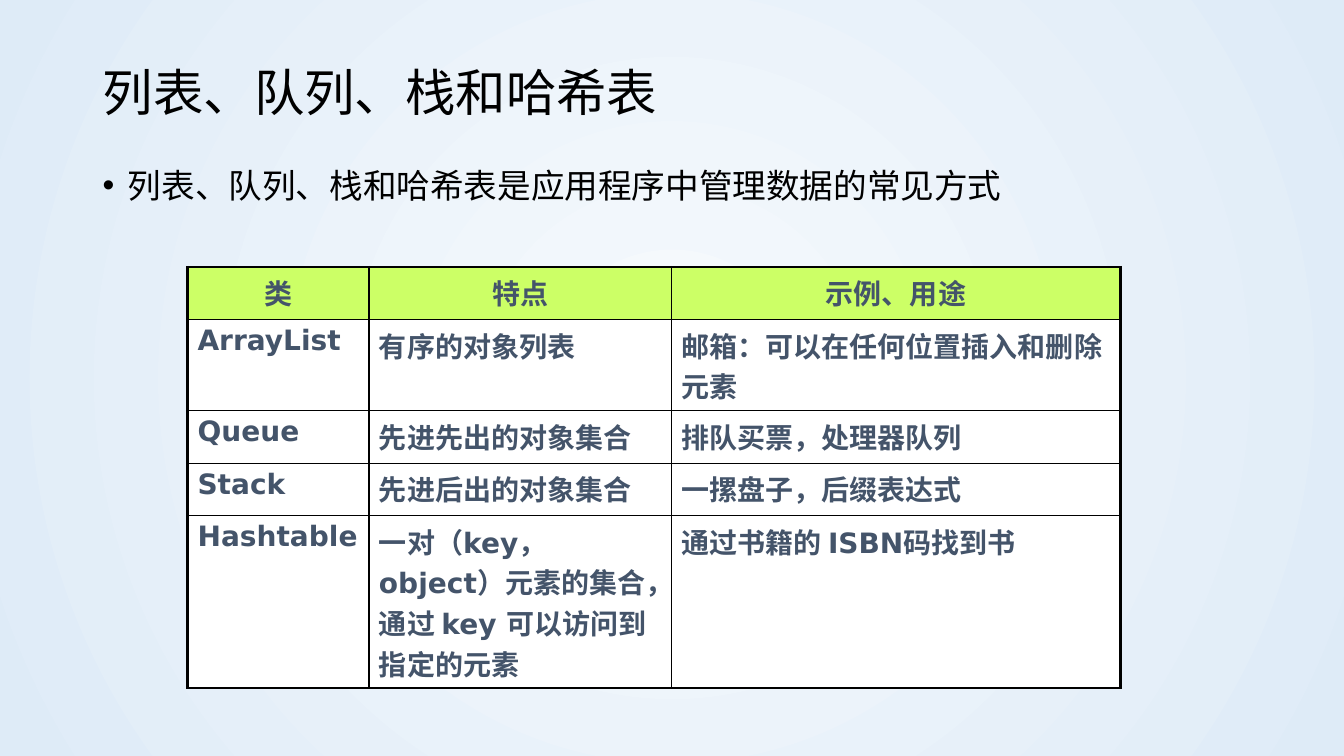
from dataclasses import dataclass

from lxml import etree
from pptx import Presentation
from pptx.dml.color import RGBColor
from pptx.enum.text import MSO_ANCHOR, PP_ALIGN
from pptx.oxml import parse_xml
from pptx.oxml.ns import nsdecls, qn
from pptx.util import Pt

LEFT, CENTER = PP_ALIGN.LEFT, PP_ALIGN.CENTER
MIDDLE = MSO_ANCHOR.MIDDLE

COLORS = {
    "inner": "F7FAFD",
    "outer": "DEEBF7",
    "text": "000000",
    "cell": "44546A",
    "head": "CCFF66",
    "body": "FFFFFF",
    "line": "000000",
}
THIN, THICK = 1, 2.25
INDENT = 18


@dataclass
class Row:
    height: float
    texts: tuple[str, str, str]
    fill: str = "body"
    align: PP_ALIGN = LEFT


WIDTHS = (129.6, 216, 321)
ROWS = (
    Row(37.44, ("类", "特点", "示例、用途"), "head", CENTER),
    Row(65.2, ("ArrayList", "有序的对象列表", "邮箱：可以在任何位置插入和删除元素")),
    Row(37.44, ("Queue", "先进先出的对象集合", "排队买票，处理器队列")),
    Row(37.44, ("Stack", "先进后出的对象集合", "一摞盘子，后缀表达式")),
    Row(123.2, ("Hashtable", "一对（key，object）元素的集合，通过 key 可以访问到指定的元素",
                "通过书籍的 ISBN码找到书")),
)


def rgb(name: str) -> RGBColor:
    return RGBColor.from_string(COLORS[name])


def style(para, size: float, face: str, color: str, bold: bool = False) -> None:
    font = para.font
    font.size, font.name, font.bold = Pt(size), face, bold
    font.color.rgb = rgb(color)


def paint(slide) -> None:
    """Give the slide a round gradient, lightest in the middle."""
    fill = slide.background.fill
    fill.gradient()
    for stop, pos, name in zip(fill.gradient_stops, (0, 1), ("inner", "outer")):
        stop.position = pos
        stop.color.rgb = rgb(name)
    grad = next(slide.element.iter(qn("a:gradFill")))
    grad.replace(grad.find(qn("a:lin")), parse_xml(
        f'<a:path {nsdecls("a")} path="circle">'
        '<a:fillToRect l="50000" t="50000" r="50000" b="50000"/></a:path>'))


def add_title(slide, text: str) -> None:
    title = slide.shapes.title
    title.left, title.top = Pt(66.24), Pt(28.8)
    title.width, title.height = Pt(828), Pt(77.76)
    frame = title.text_frame
    frame.text = text
    frame.vertical_anchor = MIDDLE
    para = frame.paragraphs[0]
    para.alignment, para.line_spacing = LEFT, 0.9
    style(para, 36, "Arial", "text")


def add_point(slide, text: str) -> None:
    box = slide.shapes.add_textbox(Pt(66.24), Pt(117.36), Pt(828), Pt(50))
    frame = box.text_frame
    frame.word_wrap = True
    frame.text = text
    para = frame.paragraphs[0]
    para.line_spacing = 0.9
    props = para._p.get_or_add_pPr()
    props.set("marL", str(Pt(INDENT)))
    props.set("indent", str(-Pt(INDENT)))
    etree.SubElement(props, qn("a:buFont")).set("typeface", "Arial")
    etree.SubElement(props, qn("a:buChar")).set("char", "•")
    style(para, 24, "Arial", "text")


def add_edges(cell, row: int, col: int) -> None:
    """Draw thick lines on the rim of the table and thin ones inside."""
    rims = {"L": col == 0, "R": col == len(WIDTHS) - 1,
            "T": row == 0, "B": row == len(ROWS) - 1}
    props = cell._tc.get_or_add_tcPr()
    for side, rim in rims.items():
        width = Pt(THICK if rim else THIN)
        props.append(parse_xml(
            f'<a:ln{side} {nsdecls("a")} w="{width}"><a:solidFill>'
            f'<a:srgbClr val="{COLORS["line"]}"/></a:solidFill></a:ln{side}>'))


def add_grid(slide) -> None:
    height = sum(row.height for row in ROWS)
    table = slide.shapes.add_table(
        len(ROWS), len(WIDTHS), Pt(133.92), Pt(190.8),
        Pt(sum(WIDTHS)), Pt(height)).table
    table.first_row = table.horz_banding = False
    for col, width in zip(table.columns, WIDTHS):
        col.width = Pt(width)
    for r, row in enumerate(ROWS):
        table.rows[r].height = Pt(row.height)
        for c, text in enumerate(row.texts):
            cell = table.cell(r, c)
            add_edges(cell, r, c)
            cell.fill.solid()
            cell.fill.fore_color.rgb = rgb(row.fill)
            cell.text = text
            para = cell.text_frame.paragraphs[0]
            para.alignment = row.align
            style(para, 20, "DejaVu Sans", "cell", True)


def main() -> None:
    deck = Presentation()
    deck.slide_width, deck.slide_height = Pt(960), Pt(540)
    slide = deck.slides.add_slide(deck.slide_layouts.get_by_name("Title Only"))
    paint(slide)
    add_title(slide, "列表、队列、栈和哈希表")
    add_point(slide, "列表、队列、栈和哈希表是应用程序中管理数据的常见方式")
    add_grid(slide)
    deck.save("out.pptx")


if __name__ == "__main__":
    main()
